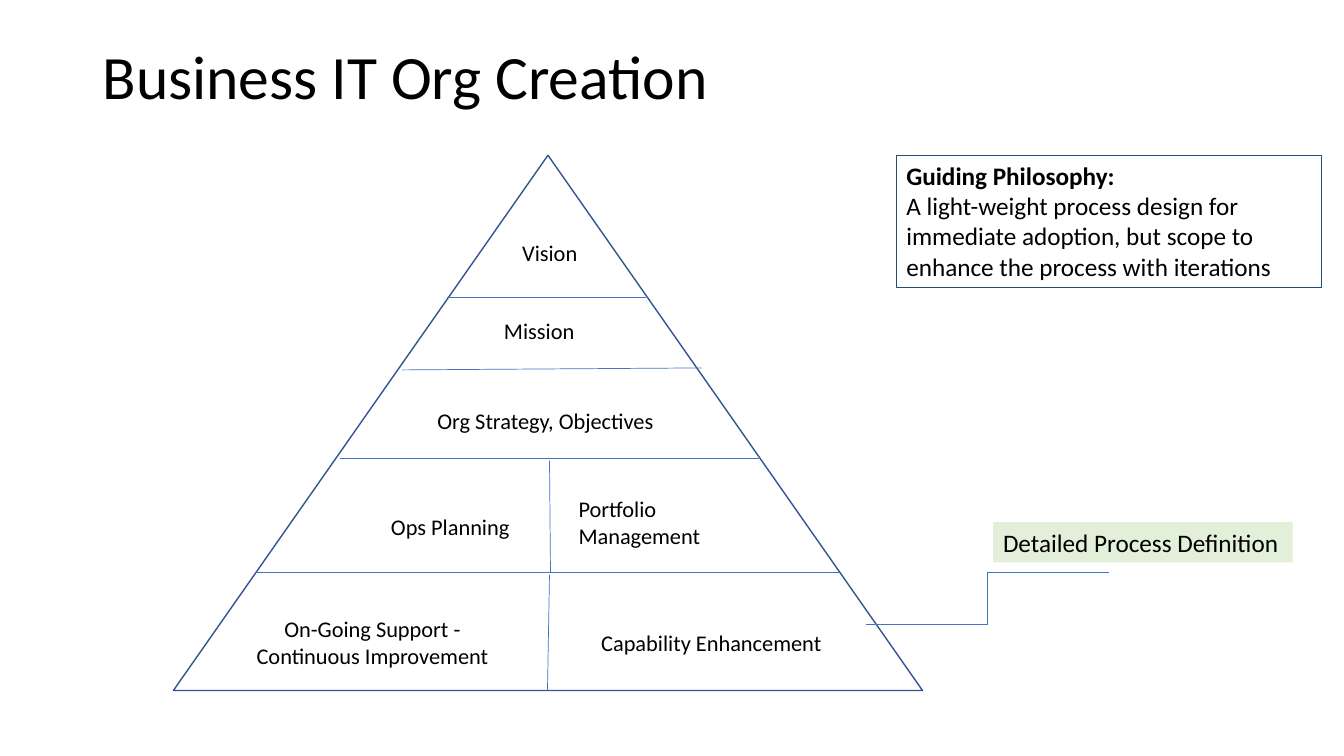
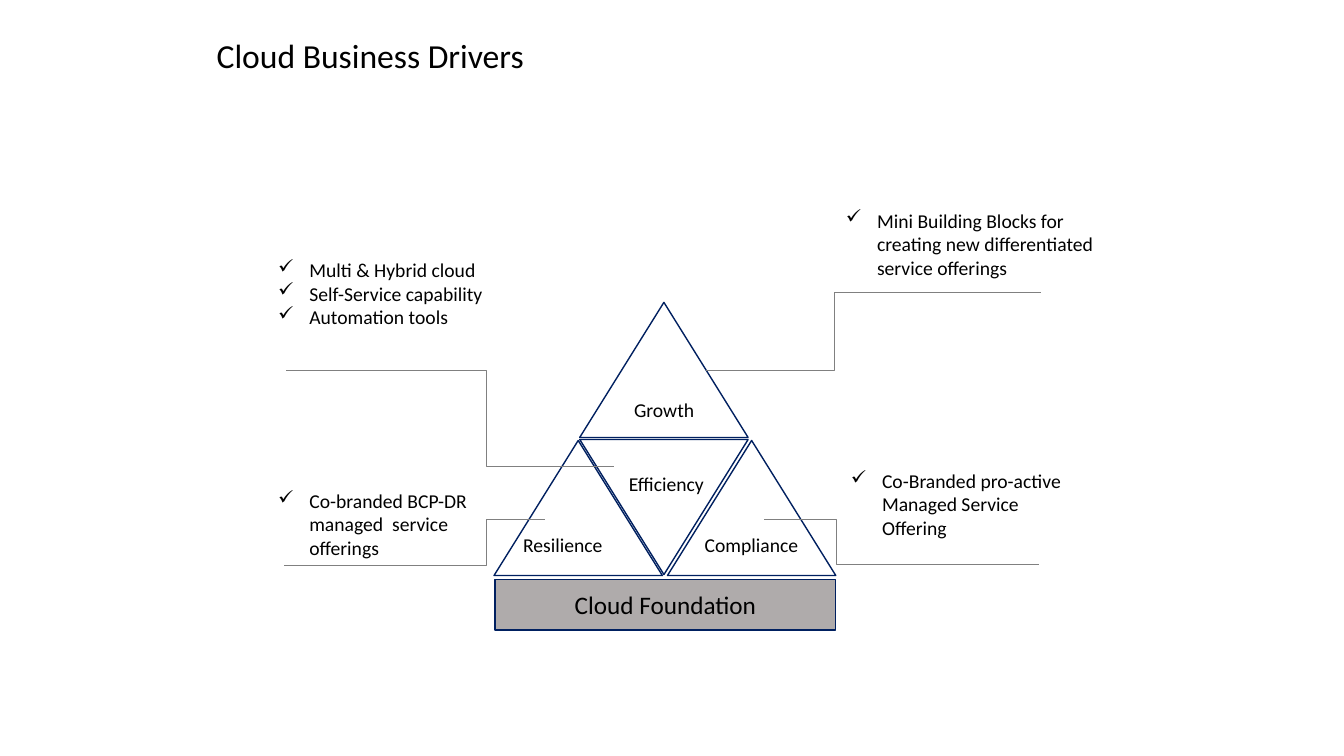
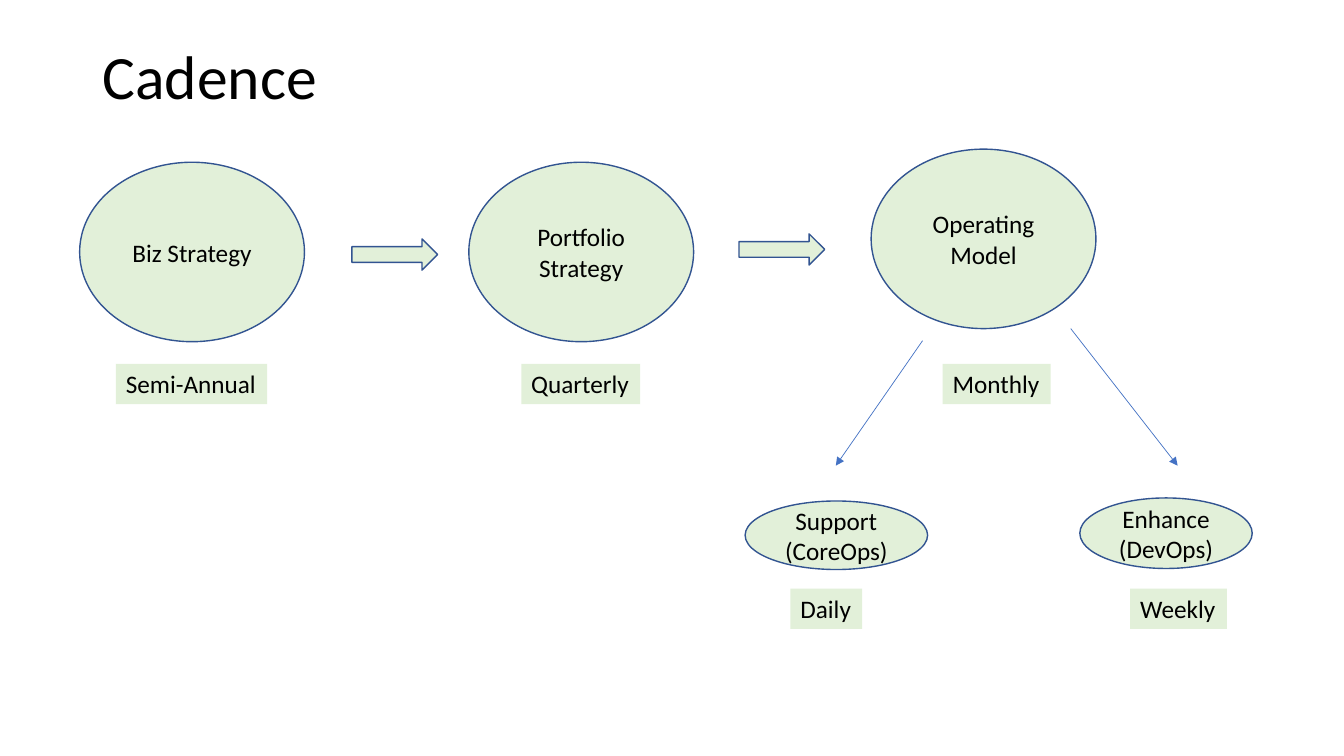
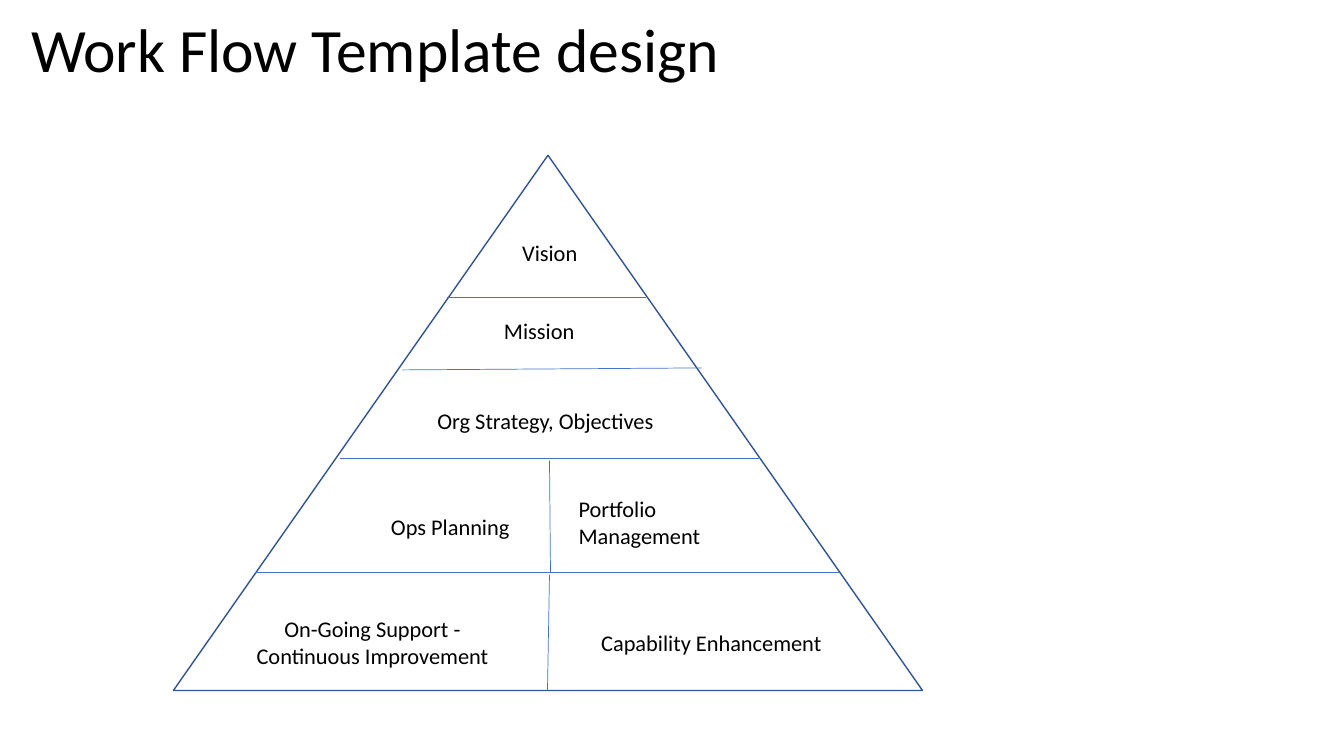
import lxml.etree
import pptx
import pptx.dml.color
import pptx.enum.shapes
import pptx.enum.text
import pptx.oxml.ns
import pptx.util

Inches = pptx.util.Inches
qn = pptx.oxml.ns.qn
SHAPE = pptx.enum.shapes.MSO_SHAPE
CONNECTOR = pptx.enum.shapes.MSO_CONNECTOR
ANCHOR = pptx.enum.text.MSO_ANCHOR
ALIGN = pptx.enum.text.PP_ALIGN
AUTO_SIZE = pptx.enum.text.MSO_AUTO_SIZE

FONT = "Calibri"
BLACK = "000000"
BLUE = "4472C4"
DARK_BLUE = "325491"
NAVY = "002060"
TEAL = "1F4E79"
GREEN = "E2F0D9"
GREY = "AFABAB"
CALLOUT_GREY = "808080"

TITLE_BOX = (0.92, 0.4, 11.5, 0.78)

# Pyramid, used on two slides
PYRAMID = (1.72, 1.54, 7.43, 5.31)
PYRAMID_DIVIDERS = [
    ((2.53, 5.68), (8.32, 5.68)),
    ((3.37, 4.55), (7.53, 4.55)),
    ((3.99, 3.67), (6.96, 3.65)),
    ((4.43, 2.95), (6.41, 2.95)),
    ((5.45, 4.57), (5.46, 5.68)),
    ((5.45, 5.7), (5.43, 6.85)),
]
PYRAMID_LEVELS = [
    ("Vision", (5.08, 2.32, 1.12, 0.37), ALIGN.LEFT),
    ("Mission", (4.9, 3.1, 1.12, 0.37), ALIGN.LEFT),
    ("Org Strategy, Objectives", (4.24, 3.99, 2.38, 0.37), ALIGN.LEFT),
    ("Ops Planning", (3.78, 5.04, 1.53, 0.37), ALIGN.LEFT),
    ("Portfolio Management", (5.64, 4.86, 1.53, 0.64), ALIGN.LEFT),
    ("On-Going Support - Continuous Improvement", (2.31, 6.05, 2.77, 0.64), ALIGN.CENTER),
    ("Capability Enhancement", (5.67, 6.19, 2.77, 0.37), ALIGN.CENTER),
]
PHILOSOPHY = (
    "Guiding Philosophy:\n"
    "A light-weight process design for immediate adoption, "
    "but scope to enhance the process with iterations"
)

# Cloud drivers: triangle left and top, rotation, then label and its box
DRIVER_SIZE = (1.67, 1.34)
DRIVERS = [
    (4.9, 4.37, 0, "Resilience", (5.09, 5.24, 1, 0.34)),
    (6.62, 4.37, 0, "Compliance", (6.89, 5.24, 1.14, 0.34)),
    (5.75, 4.36, 180, "Efficiency", (6.14, 4.63, 0.96, 0.34)),
    (5.75, 3, 0, "Growth", (6.19, 3.9, 0.8, 0.34)),
]
# Callouts: text, its box, leader from left end to right end, x of the bend
CALLOUTS = [
    ("Mini Building Blocks for creating new differentiated service offerings",
     (8.29, 2.02, 2.72, 0.81), (7, 3.67), (10.32, 2.9), 8.27),
    ("Co-Branded pro-active Managed Service Offering",
     (8.34, 4.6, 2.33, 0.81), (7.58, 5.15), (10.31, 5.6), 8.3),
    ("Co-branded BCP-DR managed  service offerings",
     (2.66, 4.8, 2.13, 0.81), (2.82, 5.61), (5.41, 5.15), 4.82),
    ("Multi & Hybrid cloud\nSelf-Service capability\nAutomation tools",
     (2.66, 2.51, 3.25, 0.81), (2.84, 3.67), (6.09, 4.63), 4.82),
]

# Cadence: stage, its ellipse, frequency, and the frequency tag's box
STAGES = [
    ("Biz Strategy", (0.79, 1.61, 2.23, 1.78), "Semi-Annual", (1.15, 3.61, 1.5, 0.4)),
    ("Portfolio Strategy", (4.65, 1.61, 2.23, 1.78), "Quarterly", (5.17, 3.61, 1.18, 0.4)),
    ("Operating Model", (8.64, 1.48, 2.23, 1.78), "Monthly", (9.35, 3.61, 1.07, 0.4)),
    ("Support\n(CoreOps)", (7.39, 4.97, 1.81, 0.68), "Daily", (7.84, 5.84, 0.71, 0.4)),
    ("Enhance\n(DevOps)", (10.71, 4.94, 1.71, 0.7), "Weekly", (11.21, 5.84, 0.96, 0.4)),
]
STAGE_ARROWS = [(3.49, 2.37, 0.85, 0.31), (7.33, 2.32, 0.85, 0.31)]
BRANCHES = [((9.15, 3.38), (8.29, 4.62)), ((10.62, 3.26), (11.68, 4.62))]


def rgb(value):
    return pptx.dml.color.RGBColor.from_string(value)


def inches(values):
    return [Inches(value) for value in values]


def paint(shape, fill, line, width):
    if fill:
        shape.fill.solid()
        shape.fill.fore_color.rgb = rgb(fill)
    else:
        shape.fill.background()
    if line:
        shape.line.color.rgb = rgb(line)
        shape.line.width = pptx.util.Pt(width)
    else:
        shape.line.fill.background()


def write(shape, text, size, align):
    shape.text_frame.text = text
    for paragraph in shape.text_frame.paragraphs:
        paragraph.alignment = align
        for run in paragraph.runs:
            run.font.name = FONT
            run.font.size = pptx.util.Pt(size)
            run.font.color.rgb = rgb(BLACK)


def add_figure(shapes, kind, box, fill=None, line=DARK_BLUE, text=None):
    figure = shapes.add_shape(kind, *inches(box))
    figure.shadow.inherit = False
    paint(figure, fill, line, 1)
    if text:
        write(figure, text, 18, ALIGN.CENTER)
    return figure


def add_text(shapes, text, box, size, align=ALIGN.LEFT, wrap=True, fill=None, line=None):
    label = shapes.add_textbox(*inches(box))
    label.text_frame.word_wrap = wrap
    label.text_frame.auto_size = AUTO_SIZE.SHAPE_TO_FIT_TEXT
    paint(label, fill, line, 0.75)
    write(label, text, size, align)
    return label


def add_tag(shapes, text, box):
    return add_text(shapes, text, box, 18, wrap=False, fill=GREEN)


def add_line(shapes, start, end, color=BLUE, bend=None, arrow=False):
    """Draw a straight line, or an elbow that turns at x = bend."""
    kind = CONNECTOR.STRAIGHT if bend is None else CONNECTOR.ELBOW
    line = shapes.add_connector(kind, *inches(start + end))
    line.line.color.rgb = rgb(color)
    line.line.width = pptx.util.Pt(0.5)
    properties = line._element.spPr
    if bend is not None:
        share = (bend - start[0]) / (end[0] - start[0])
        guides = properties.find(qn("a:prstGeom")).find(qn("a:avLst"))
        lxml.etree.SubElement(guides, qn("a:gd"), name="adj1",
                              fmla=f"val {round(share * 100000)}")
    if arrow:
        lxml.etree.SubElement(properties.find(qn("a:ln")), qn("a:tailEnd"), type="triangle")
    lxml.etree.SubElement(properties, qn("a:effectLst"))


def add_check_marks(label):
    for paragraph in label.text_frame.paragraphs:
        properties = paragraph._p.get_or_add_pPr()
        properties.set("marL", str(Inches(0.31)))
        properties.set("indent", str(-Inches(0.31)))
        lxml.etree.SubElement(properties, qn("a:buChar"), char="✓")


def add_slide(deck, title, box=TITLE_BOX, size=44):
    slide = deck.slides.add_slide(deck.slide_layouts[6])
    heading = add_text(slide.shapes, title, box, size)
    heading.text_frame.auto_size = AUTO_SIZE.NONE
    heading.text_frame.vertical_anchor = ANCHOR.MIDDLE
    heading.text_frame.paragraphs[0].line_spacing = 0.9
    return slide.shapes


def add_pyramid(shapes):
    pyramid = shapes.add_group_shape().shapes
    add_figure(pyramid, SHAPE.ISOSCELES_TRIANGLE, PYRAMID)
    for start, end in PYRAMID_DIVIDERS:
        add_line(pyramid, start, end)
    for level, box, align in PYRAMID_LEVELS:
        add_text(pyramid, level, box, 16, align)


def build_org_creation(deck):
    shapes = add_slide(deck, "Business IT Org Creation")
    add_pyramid(shapes)
    add_line(shapes, (8.59, 6.19), (11, 5.68), bend=9.79)
    add_tag(shapes, "Detailed Process Definition", (9.85, 5.18, 2.97, 0.4))
    philosophy = add_text(shapes, PHILOSOPHY, (8.89, 1.54, 4.22, 1.31), 18, line=TEAL)
    philosophy.text_frame.paragraphs[0].runs[0].font.bold = True


def build_cloud_drivers(deck):
    shapes = add_slide(deck, "Cloud Business Drivers", (2.05, 0.18, 9.18, 0.78), 24)
    diagram = shapes.add_group_shape().shapes
    for left, top, rotation, driver, box in DRIVERS:
        triangle = add_figure(diagram, SHAPE.ISOSCELES_TRIANGLE,
                              (left, top) + DRIVER_SIZE, line=NAVY)
        triangle.rotation = rotation
    add_figure(diagram, SHAPE.RECTANGLE, (4.91, 5.75, 3.38, 0.5), GREY, NAVY,
               "Cloud Foundation")
    for left, top, rotation, driver, box in DRIVERS:
        add_text(diagram, driver, box, 14, wrap=False)
    for text, box, start, end, bend in CALLOUTS:
        add_line(diagram, start, end, CALLOUT_GREY, bend)
        add_check_marks(add_text(diagram, text, box, 14))


def build_cadence(deck):
    shapes = add_slide(deck, "Cadence")
    for stage, ellipse, frequency, tag in STAGES:
        add_figure(shapes, SHAPE.OVAL, ellipse, GREEN, text=stage)
        add_tag(shapes, frequency, tag)
    for box in STAGE_ARROWS:
        add_figure(shapes, SHAPE.RIGHT_ARROW, box, GREEN)
    for start, end in BRANCHES:
        add_line(shapes, start, end, arrow=True)


def build_work_flow(deck):
    add_pyramid(add_slide(deck, "Work Flow Template design", (0.21, 0.13, 11.5, 0.78)))


def main():
    deck = pptx.Presentation()
    deck.slide_width, deck.slide_height = inches((13.33, 7.5))
    build_org_creation(deck)
    build_cloud_drivers(deck)
    build_cadence(deck)
    build_work_flow(deck)
    deck.save("out.pptx")


if __name__ == "__main__":
    main()
